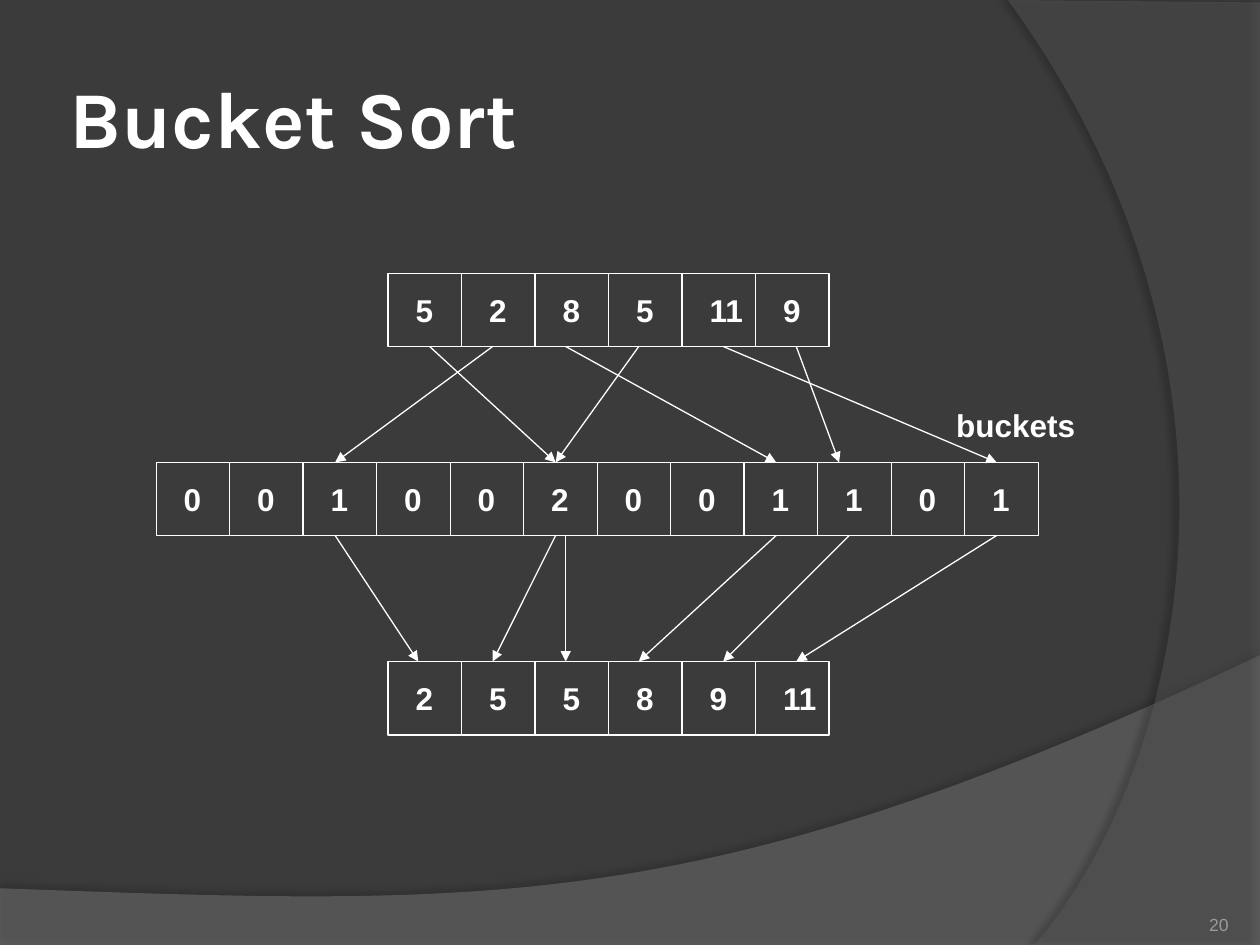
from dataclasses import dataclass

from lxml import etree
from pptx import Presentation
from pptx import util as u
from pptx.dml.color import RGBColor
from pptx.enum import shapes, text
from pptx.oxml import ns, parse_xml

BACKGROUND = RGBColor(0x3B, 0x3B, 0x3B)
WHITE = RGBColor(0xFF, 0xFF, 0xFF)
PAGE_GREY = RGBColor(0x9D, 0x9B, 0x9A)
WAVE_GREY = RGBColor(0x7F, 0x7F, 0x7F)
ARC_GREY = RGBColor(0x5E, 0x5E, 0x5E)

CELL = 7 / 12
LABEL_FONT = {"name": "Arial", "size": u.Pt(18), "bold": True}
Point = tuple[float, float]


@dataclass
class Row:
    left: float
    top: float
    values: list[int]
    caption: str = ""


@dataclass
class ArrowBand:
    top: float
    bottom: float
    spans: list[Point]  # start x, end x


@dataclass
class Shadow:
    opacity: int
    blur: float
    distance: float
    direction: int


ROWS = [
    Row(3.08, 2.17, [5, 2, 8, 5, 11, 9]),
    Row(1.24, 3.67, [0, 0, 1, 0, 0, 2, 0, 0, 1, 1, 0, 1], "buckets"),
    Row(3.08, 5.25, [2, 5, 5, 8, 9, 11]),
]
ARROWS = [
    ArrowBand(2.75, 3.67, [(3.41, 4.41), (5.07, 4.41), (3.91, 2.66),
                           (4.49, 6.16), (5.74, 7.91), (6.32, 6.66)]),
    ArrowBand(4.25, 5.25, [(2.66, 3.32), (4.41, 3.91), (4.49, 4.49),
                           (6.16, 5.07), (6.74, 5.74), (7.91, 6.32)]),
]


def format_text(frame, font_values: dict, color: RGBColor, inset: float | None = None) -> None:
    font = frame.paragraphs[0].runs[0].font
    for name, value in font_values.items():
        setattr(font, name, value)
    font.color.rgb = color
    if inset is not None:
        for side in ("left", "top", "right", "bottom"):
            setattr(frame, f"margin_{side}", u.Inches(inset))


def add_label(container, words: str, left: float, top: float, width: float) -> None:
    box = container.add_textbox(*map(u.Inches, (left, top, width, 0.4)))
    frame = box.text_frame
    frame.text = words
    frame.word_wrap = False
    frame.auto_size = text.MSO_AUTO_SIZE.SHAPE_TO_FIT_TEXT
    format_text(frame, LABEL_FONT, WHITE)


def add_row(slide, row: Row) -> None:
    group = slide.shapes.add_group_shape().shapes
    for index, value in enumerate(row.values):
        left = row.left + index * CELL
        cell = group.add_shape(shapes.MSO_SHAPE.RECTANGLE,
                               *map(u.Inches, (left, row.top, CELL, CELL)))
        cell.shadow.inherit = False
        cell.fill.background()
        cell.line.color.rgb = WHITE
        cell.line.width = u.Pt(0.75)
        width = 0.34 if value < 10 else 0.48
        add_label(group, str(value), left + 0.12, row.top + 0.09, width)
    if row.caption:
        add_label(group, row.caption, 7.49, row.top - 0.5, 1.16)


def add_arrows(slide, band: ArrowBand) -> None:
    for start, end in band.spans:
        arrow = slide.shapes.add_connector(
            shapes.MSO_CONNECTOR.STRAIGHT,
            *map(u.Inches, (start, band.top, end, band.bottom)))
        arrow.line.color.rgb = WHITE
        arrow.line.width = u.Pt(0.75)
        properties = arrow.element.spPr
        outline = properties.find(ns.qn("a:ln"))
        etree.SubElement(outline, ns.qn("a:tailEnd"), type="triangle")
        etree.SubElement(properties, ns.qn("a:effectLst"))


def curve(start: Point, control1: Point, control2: Point, end: Point, steps: int = 60) -> list[Point]:
    """Return points along a cubic Bezier curve."""
    points = []
    for step in range(steps + 1):
        t = step / steps
        weights = ((1 - t) ** 3, 3 * t * (1 - t) ** 2, 3 * t * t * (1 - t), t ** 3)
        controls = (start, control1, control2, end)
        points.append(tuple(sum(w * c[axis] for w, c in zip(weights, controls))
                            for axis in (0, 1)))
    return points


def add_backdrop(slide, outline: list[Point], color: RGBColor, opacity: int, shadow: Shadow) -> None:
    """Draw a translucent shape behind the title."""
    first, *rest = [(u.Inches(x), u.Inches(y)) for x, y in outline]
    builder = slide.shapes.build_freeform(*first)
    builder.add_line_segments(rest, close=True)
    shape = builder.convert_to_shape()
    shape.line.fill.background()
    shape.fill.solid()
    shape.fill.fore_color.rgb = color
    properties = shape.element.spPr
    tint = properties.find(f"{ns.qn('a:solidFill')}/{ns.qn('a:srgbClr')}")
    etree.SubElement(tint, ns.qn("a:alpha"), val=str(opacity * 1000))
    properties.append(parse_xml(
        f'<a:effectLst {ns.nsdecls("a")}><a:outerShdw blurRad="{u.Pt(shadow.blur)}" '
        f'dist="{u.Pt(shadow.distance)}" dir="{shadow.direction * 60000}" '
        f'algn="ctr" rotWithShape="0"><a:srgbClr val="000000">'
        f'<a:alpha val="{shadow.opacity * 1000}"/></a:srgbClr></a:outerShdw></a:effectLst>'))
    slide.shapes.title.element.addprevious(shape.element)


def add_title(slide, words: str) -> None:
    title = slide.shapes.title
    bounds = {"left": 0.5, "top": 0.3, "width": 8.17, "height": 1.25}
    for name, value in bounds.items():
        setattr(title, name, u.Inches(value))
    frame = title.text_frame
    frame.text = words
    frame.vertical_anchor = text.MSO_ANCHOR.MIDDLE
    frame.paragraphs[0].alignment = text.PP_ALIGN.LEFT
    format_text(frame, {"name": "Karla", "size": u.Pt(46), "bold": True}, WHITE, 0.05)


def add_page_number(slide, number: int) -> None:
    frame = slide.shapes.add_textbox(*map(u.Inches, (8.92, 7.02, 0.83, 0.4))).text_frame
    frame.text = str(number)
    frame.word_wrap = True
    frame.vertical_anchor = text.MSO_ANCHOR.BOTTOM
    frame.paragraphs[0].alignment = text.PP_ALIGN.RIGHT
    format_text(frame, {"name": "Arial", "size": u.Pt(10)}, PAGE_GREY, 0)


def main() -> None:
    presentation = Presentation()
    presentation.slide_width = u.Inches(10)
    presentation.slide_height = u.Inches(7.5)
    slide = presentation.slides.add_slide(presentation.slide_layouts[5])
    slide.background.fill.solid()
    slide.background.fill.fore_color.rgb = BACKGROUND

    wave = curve((10, 5.2), (5.59, 7.29), (3.91, 7.19), (0, 7.05))
    add_backdrop(slide, [(0, 7.51), (10, 7.51), *wave], WAVE_GREY, 45, Shadow(35, 4, 3.5, 270))
    arc = curve((8.21, 7.5), (9.35, 6.19), (10.18, 3), (8, 0))
    add_backdrop(slide, [(10, 0.02), (10, 7.5), *arc], ARC_GREY, 40, Shadow(45, 4, 4, 180))

    add_title(slide, "Bucket Sort")
    for row in ROWS:
        add_row(slide, row)
    for band in ARROWS:
        add_arrows(slide, band)
    add_page_number(slide, 20)
    presentation.save("out.pptx")


if __name__ == "__main__":
    main()
